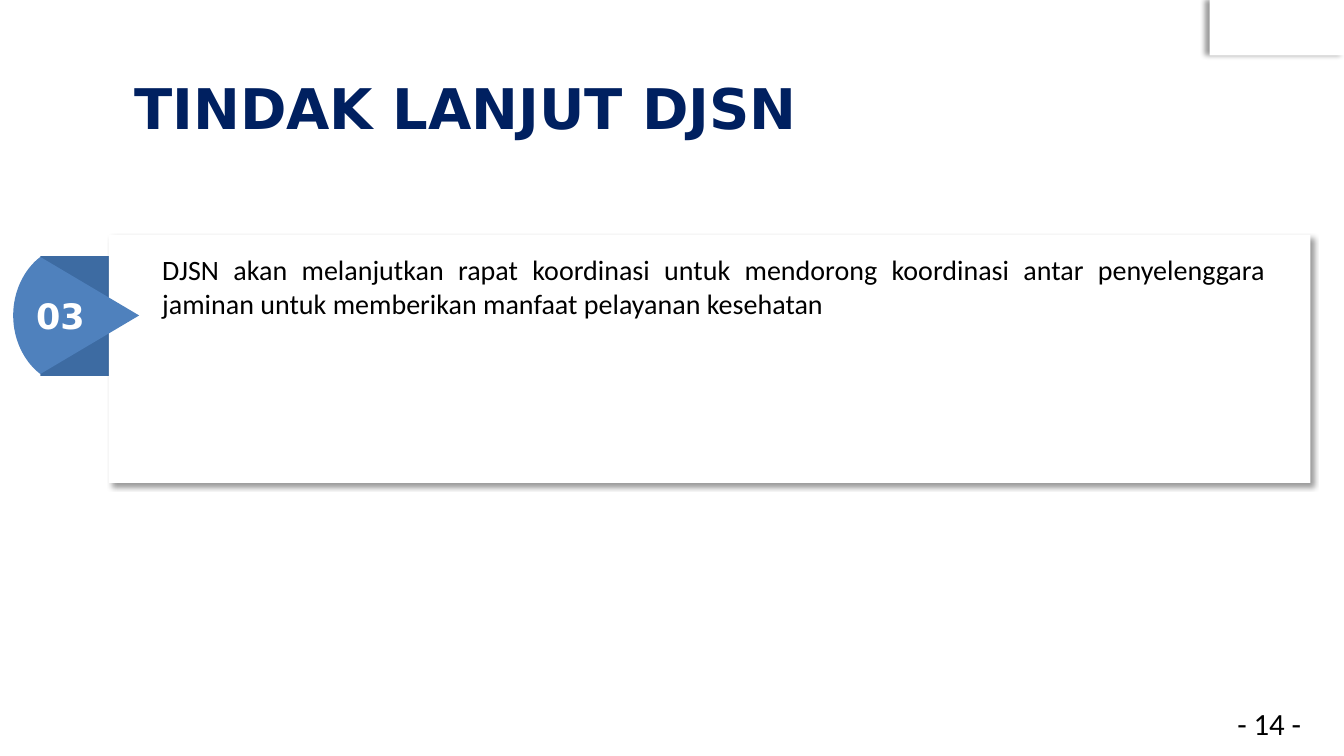
"""Build the follow-up slide with one numbered point."""
import pptx
import pptx.util
import pptx.dml.color
import pptx.enum.shapes
import pptx.enum.text
import pptx.oxml
import pptx.oxml.ns

Pt = pptx.util.Pt
ALIGN = pptx.enum.text.PP_ALIGN
ANCHOR = pptx.enum.text.MSO_ANCHOR
RECT = pptx.enum.shapes.MSO_SHAPE.RECTANGLE

deck = pptx.Presentation()
deck.slide_width = pptx.util.Inches(13.33)
deck.slide_height = pptx.util.Inches(7.5)
slide = deck.slides.add_slide(deck.slide_layouts[5])
shapes = slide.shapes


def share(*parts):
    """Turn percent pairs of slide width and height into lengths."""
    sides = (deck.slide_width, deck.slide_height)
    return [round(sides[i % 2] * part / 100) for i, part in enumerate(parts)]


def hue(code):
    """Give the colour for a hex string."""
    return pptx.dml.color.RGBColor.from_string(code)


band = shapes.add_shape(RECT, *share(3, 33.87, 18.08, 15.87))
band.shadow.inherit = False
band.line.fill.background()
band.fill.gradient()
band.fill.gradient_angle = 270
for stop, code in zip(band.fill.gradient_stops, ("3D6BA2", "3D6CA4")):
    stop.color.rgb = hue(code)

panels = [((90, 0, 10, 7.33), 180), ((8.1, 31.07, 89.4, 32.8), 45)]
for place, angle in panels:
    panel = shapes.add_shape(RECT, *share(*place))
    panel.shadow.inherit = False
    panel.fill.solid()
    panel.fill.fore_color.rgb = hue("FFFFFF")
    panel.line.fill.background()
    glow = panel.element.spPr.find(pptx.oxml.ns.qn("a:effectLst"))
    glow.append(pptx.oxml.parse_xml(
        f'<a:outerShdw {pptx.oxml.ns.nsdecls("a")} blurRad="{Pt(4)}" '
        f'dist="{Pt(3)}" dir="{angle * 60000}" algn="tl" rotWithShape="0">'
        '<a:srgbClr val="000000"><a:alpha val="40000"/></a:srgbClr>'
        '</a:outerShdw>'))

mid = 41.73
bend = [(3, 7.74), (1.8, 6.14), (0.98, 3.2), (0.98, 0)]
steps = 16
curve = []
for step in range(steps + 1):
    t = step / steps
    mix = ((1 - t) ** 3, 3 * t * (1 - t) ** 2, 3 * t * t * (1 - t), t ** 3)
    curve.append([sum(m * p[axis] for m, p in zip(mix, bend)) for axis in (0, 1)])
rim = [share(x, mid + y) for x, y in curve]
rim += [share(x, mid - y) for x, y in reversed(curve[:-1])]
pen = shapes.build_freeform(*share(10.35, mid))
pen.add_line_segments(rim, close=True)
badge = pen.convert_to_shape()
badge.shadow.inherit = False
badge.fill.solid()
badge.fill.fore_color.rgb = hue("4F81BD")
badge.line.fill.background()

point = ("DJSN akan melanjutkan rapat koordinasi untuk mendorong koordinasi antar "
         "penyelenggara jaminan untuk memberikan manfaat pelayanan kesehatan")
title = shapes.title
title.left, title.top, title.width, title.height = share(10, 7.33, 87.55, 13.73)
label = shapes.add_textbox(*share(1.95, 38.27, 8.1, 6.93))
body = shapes.add_textbox(*share(11.33, 32.8, 83.57, 14.8))
page = shapes.add_textbox(*share(91.37, 94.4, 6.15, 3.87))
texts = [
    (title, "TINDAK LANJUT DJSN", 40, "DejaVu Sans", "002060", True, ALIGN.LEFT),
    (label, "03", 25, "DejaVu Sans", "FFFFFF", True, ALIGN.LEFT),
    (body, point, 20, "Calibri", "000000", False, ALIGN.JUSTIFY),
    (page, "- 14 -", 22, "Calibri", "000000", False, ALIGN.CENTER),
]
for box, words, size, face, code, bold, align in texts:
    frame = box.text_frame
    frame.text = words
    frame.word_wrap = True
    frame.auto_size = pptx.enum.text.MSO_AUTO_SIZE.NONE
    frame.paragraphs[0].alignment = align
    font = frame.paragraphs[0].runs[0].font
    font.size, font.name, font.bold = Pt(size), face, bold
    font.color.rgb = hue(code)

for box in (title, page):
    frame = box.text_frame
    frame.margin_left = frame.margin_right = 0
    frame.margin_top = frame.margin_bottom = 0
title.text_frame.vertical_anchor = ANCHOR.MIDDLE
page.text_frame.paragraphs[0].line_spacing = Pt(20.1)

deck.save("out.pptx")
